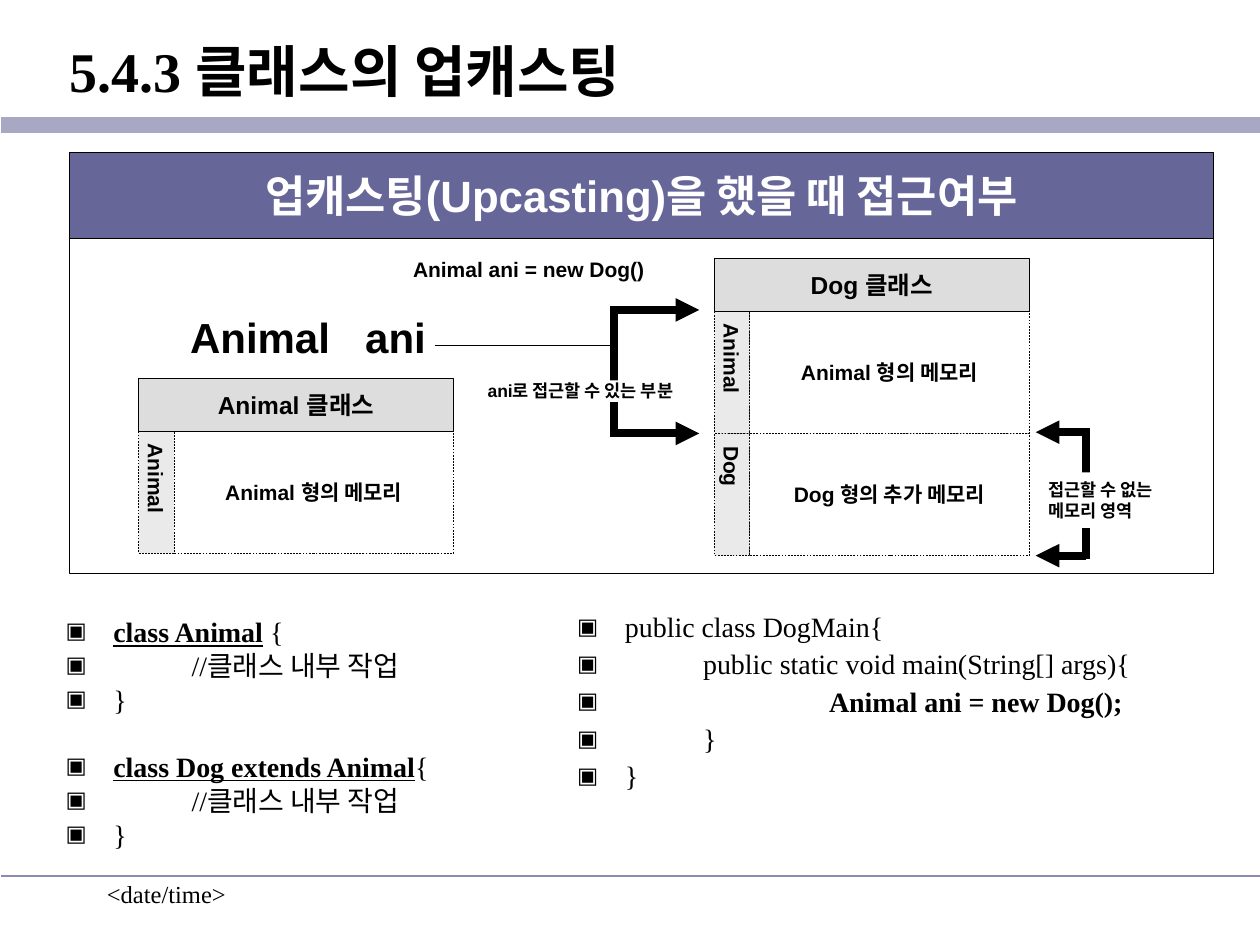
import pptx
import pptx.util
import pptx.dml.color
import pptx.enum.dml
import pptx.enum.shapes
import pptx.enum.text
import pptx.oxml
import pptx.oxml.ns
from lxml import etree

Inches, Pt = pptx.util.Inches, pptx.util.Pt
ALIGN = pptx.enum.text.PP_ALIGN
ANCHOR = pptx.enum.text.MSO_ANCHOR
COLORS = {"black": "000000", "white": "FFFFFF", "banner": "666699", "header": "DDDDDD",
          "side": "EAEAEA", "title_rule": "A8A8C4", "foot_rule": "8C8CB2"}
SERIF, SANS = "Times New Roman", "Arial"


def rgb(name):
    """Look up a colour by name."""
    return pptx.dml.color.RGBColor.from_string(COLORS[name])


def sub(parent, tag, **attrs):
    """Append a DrawingML child element."""
    return etree.SubElement(parent, pptx.oxml.ns.qn(tag), attrs)


def style_run(r, size, font, color="black", bold=True):
    """Format one run."""
    r.font.size, r.font.name, r.font.bold = Pt(size), font, bold
    r.font.color.rgb = rgb(color)


def write(sp, text, size, font=SANS, color="black", bold=True, align=ALIGN.LEFT,
          anchor=ANCHOR.TOP, wrap=True, margins=(0.1, 0.05)):
    """Fill a shape with uniformly formatted text."""
    tf = sp.text_frame
    tf.text, tf.word_wrap, tf.vertical_anchor = text, wrap, anchor
    tf.margin_left = tf.margin_right = Inches(margins[0])
    tf.margin_top = tf.margin_bottom = Inches(margins[1])
    for p in tf.paragraphs:
        p.alignment = align
        for r in p.runs:
            style_run(r, size, font, color, bold)
    return tf


def add_rect(slide, left, top, width, height, fill=None, outline=True, dashed=False):
    """Add a rectangle with an optional fill and hairline."""
    sp = slide.shapes.add_shape(pptx.enum.shapes.MSO_SHAPE.RECTANGLE, Inches(left),
                                Inches(top), Inches(width), Inches(height))
    sp.shadow.inherit = False
    if fill:
        sp.fill.solid()
        sp.fill.fore_color.rgb = rgb(fill)
    else:
        sp.fill.background()
    if outline:
        sp.line.color.rgb, sp.line.width = rgb("black"), Pt(0.25)
    else:
        sp.line.fill.background()
    if dashed:
        sp.line.dash_style = pptx.enum.dml.MSO_LINE.DASH
    return sp


def add_text(slide, left, top, width, height, text, size, **style):
    """Add a text box."""
    sp = slide.shapes.add_textbox(Inches(left), Inches(top), Inches(width), Inches(height))
    return write(sp, text, size, **style)


def add_line(slide, x1, y1, x2, y2, color="black", width=0.25, arrow=False):
    """Add a straight line, with an arrowhead at its end if asked."""
    line = slide.shapes.add_connector(pptx.enum.shapes.MSO_CONNECTOR.STRAIGHT, Inches(x1),
                                      Inches(y1), Inches(x2), Inches(y2))
    line.line.color.rgb, line.line.width = rgb(color), Pt(width)
    if arrow:
        sub(line.line._get_or_add_ln(), "a:tailEnd", type="triangle")
    sub(line._element.spPr, "a:effectLst")


def add_bracket(slide, spine, tip, top, bottom):
    """Draw a thick spine with an arrow leaving each end."""
    for y in (top, bottom):
        add_line(slide, spine, y, tip, y, width=4.5, arrow=True)
    add_line(slide, spine, top - 0.03, spine, bottom + 0.03, width=4.5)


def add_class_box(slide, left, top, name, parts):
    """Draw a class header above its memory areas."""
    header, row, side, width = 0.42, 0.97, 0.28, 2.5
    centred = {"align": ALIGN.CENTER, "anchor": ANCHOR.MIDDLE}
    for i, (owner, memory) in enumerate(parts):
        y = top + header + i * row
        sp = add_rect(slide, left, y, side, row, "side", dashed=True)
        tf = write(sp, owner, 12, wrap=False, margins=(0.05, 0.1), **centred)
        tf._txBody.bodyPr.set("vert", "eaVert")
        sp = add_rect(slide, left + side, y, width - side, row, "white", dashed=True)
        write(sp, memory, 12, **centred)
    write(add_rect(slide, left, top, width, header, "header"), name, 14, **centred)


def add_code_list(sp, box, lines, spacing, group_gap=23):
    """Fill a body placeholder with bulleted code, lines being (emphasis, underline, rest, gap)."""
    sp.left, sp.top, sp.width, sp.height = (Inches(v) for v in box)
    tf = sp.text_frame
    tf.word_wrap, tf.auto_size = True, pptx.enum.text.MSO_AUTO_SIZE.NONE
    tf.vertical_anchor = ANCHOR.TOP
    for i, (indent, strong, underline, rest, new_group) in enumerate(lines):
        p = tf.paragraphs[0] if i == 0 else tf.add_paragraph()
        pPr = p._p.get_or_add_pPr()
        pPr.set("marL", str(Inches(0.38)))
        pPr.set("indent", str(-Inches(0.38)))
        sub(sub(pPr, "a:buClr"), "a:srgbClr", val=COLORS["black"])
        sub(pPr, "a:buSzPct", val="80000")
        sub(pPr, "a:buFont", typeface=SERIF)
        sub(pPr, "a:buChar", char="▣")
        tabs = sub(pPr, "a:tabLst")
        for stop in (1, 2):
            sub(tabs, "a:tab", pos=str(Inches(stop)), algn="l")
        p.alignment, p.line_spacing = ALIGN.LEFT, spacing
        p.space_before = Pt(0 if i == 0 else group_gap if new_group else 4)
        for text, bold in (("\t" * indent + strong, True), (rest, False)):
            if text.strip() or (bold and indent):
                r = p.add_run()
                r.text = text
                style_run(r, 16, SERIF, bold=bold)
                r.font.underline = bold and underline


def add_frame(slide):
    """Place the title, the rules and the date."""
    sp = slide.shapes.title
    sp.left, sp.top, sp.width, sp.height = Inches(0.01), Inches(0.11), Inches(9.99), Inches(0.9)
    tf = write(sp, "5.4.3 클래스의 업캐스팅", 32, font=SERIF, anchor=ANCHOR.MIDDLE)
    tf.margin_left = Inches(0.54)
    tf.auto_size = pptx.enum.text.MSO_AUTO_SIZE.NONE
    add_line(slide, 0.01, 0.99, 10, 0.99, "title_rule", 9.25)
    add_line(slide, 0.01, 6.95, 10, 6.95, "foot_rule", 1)
    add_text(slide, 0.75, 6.93, 2.08, 0.5, "<date/time>", 14, font=SERIF, bold=False)


def add_diagram(slide, left, top, width, height):
    """Draw the upcasting memory diagram inside its panel."""
    banner = 0.68
    add_rect(slide, left, top + banner, width, height - banner)
    write(add_rect(slide, left, top, width, banner, "banner"),
          "업캐스팅(Upcasting)을 했을 때 접근여부", 25, color="white",
          align=ALIGN.CENTER, anchor=ANCHOR.MIDDLE)
    animal = ("Animal", "Animal 형의 메모리")
    add_class_box(slide, left + 0.55, top + 1.79, "Animal 클래스", [animal])
    add_class_box(slide, left + 5.12, top + 0.84, "Dog 클래스",
                  [animal, ("Dog", "Dog 형의 추가 메모리")])
    add_bracket(slide, left + 4.32, left + 5, top + 1.25, top + 2.23)
    add_bracket(slide, left + 8.07, left + 7.67, top + 2.22, top + 3.2)
    add_line(slide, left + 2.9, top + 1.53, left + 4.31, top + 1.53)
    tf = add_text(slide, left + 0.86, top + 1.21, 2.12, 0.5, "Animal\tani", 24)
    tabs = sub(tf.paragraphs[0]._p.get_or_add_pPr(), "a:tabLst")
    sub(tabs, "a:tab", pos=str(Inches(1.39)), algn="l")
    add_text(slide, left + 2.63, top + 0.78, 2.04, 0.3, "Animal ani = new Dog()", 12, wrap=False)
    write(add_rect(slide, left + 3.32, top + 1.81, 1.66, 0.17, "white", outline=False),
          "ani로 접근할 수 있는 부분", 10, margins=(0, 0))
    write(add_rect(slide, left + 7.67, top + 2.54, 1.02, 0.44, "white", outline=False),
          "접근할 수 없는\n메모리 영역", 10, wrap=False)


def main():
    """Build the slide and save it."""
    prs = pptx.Presentation()
    prs.slide_width, prs.slide_height = Inches(10), Inches(7.5)
    slide = prs.slides.add_slide(prs.slide_layouts[3])
    add_frame(slide)
    add_diagram(slide, 0.55, 1.21, 9.08, 3.34)
    work = (1, "", False, "//클래스 내부 작업", False)
    close = (0, "", False, "}", False)
    add_code_list(slide.placeholders[1], (0.42, 4.88, 4.04, 2.02), [
        (0, "class Animal", True, " {", False), work, close,
        (0, "class Dog extends Animal", True, "{", True), work, close], 0.8)
    add_code_list(slide.placeholders[2], (4.48, 4.82, 5, 1.54), [
        (0, "", False, "public class DogMain{", False),
        (1, "", False, "public static void main(String[] args){", False),
        (2, "Animal ani = new Dog();", False, "", False),
        (1, "", False, "}", False), close], 0.9)
    prs.save("out.pptx")


if __name__ == "__main__":
    main()
